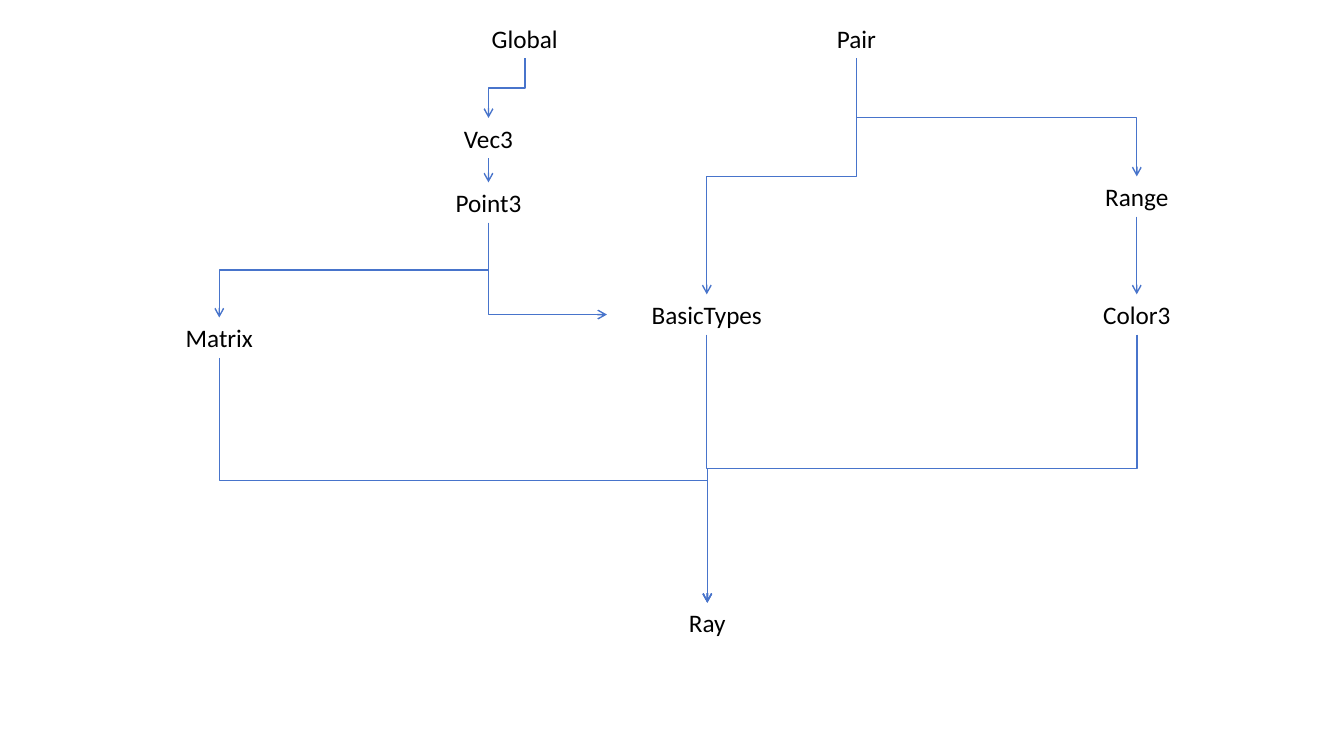
"""Build a dependency diagram of geometry classes linked by elbow arrows."""
from lxml import etree
from pptx import Presentation
from pptx import util as u
from pptx.dml.color import RGBColor
from pptx.enum import shapes, text
from pptx.oxml import ns

BLACK = RGBColor(0x00, 0x00, 0x00)
BLUE = RGBColor(0x48, 0x74, 0xCB)
TOP, LEFT, BOTTOM = 0, 1, 2

CLASSES = {
    "Global": (3.72, 0.18, 2.97),
    "Vec3": (3.36, 1.17, 2.97),
    "Point3": (3.36, 1.81, 2.97),
    "Ray": (5.53, 5.98, 2.97),
    "Color3": (9.79, 2.92, 2.97),
    "Pair": (7.01, 0.18, 2.97),
    "Range": (9.79, 1.75, 2.97),
    "BasicTypes": (6.02, 2.92, 1.98),
    "Matrix": (0.69, 3.15, 2.97),
}
DEPENDENCIES = [
    ("Global", "Vec3", TOP),
    ("Vec3", "Point3", TOP),
    ("Pair", "Range", TOP),
    ("Color3", "Ray", TOP),
    ("Range", "Color3", TOP),
    ("Pair", "BasicTypes", TOP),
    ("Point3", "BasicTypes", LEFT),
    ("BasicTypes", "Ray", TOP),
    ("Point3", "Matrix", TOP),
    ("Matrix", "Ray", TOP),
]


def write(frame, content, font="Calibri", size=18, color=BLACK,
          align=text.PP_ALIGN.CENTER):
    """Put formatted text into a text frame."""
    paragraph = frame.paragraphs[0]
    paragraph.alignment = align
    run = paragraph.add_run()
    run.text = content
    run.font.name = font
    run.font.size = u.Pt(size)
    run.font.color.rgb = color


class Diagram:
    """Hold the slide and the style of its labels and arrows."""

    def __init__(self, slide, line_color=BLUE, line_width=1, label_height=0.4):
        """Keep the slide and the shared style."""
        self.slide = slide
        self.line_color = line_color
        self.line_width = u.Pt(line_width)
        self.label_height = u.Inches(label_height)

    def label(self, name, left, top, width):
        """Add a centred class name."""
        shape = self.slide.shapes.add_textbox(
            u.Inches(left), u.Inches(top), u.Inches(width), self.label_height)
        frame = shape.text_frame
        frame.word_wrap = True
        frame.auto_size = text.MSO_AUTO_SIZE.SHAPE_TO_FIT_TEXT
        write(frame, name)
        return shape

    def arrow(self, source, target, side):
        """Add an elbow arrow that leaves downwards and enters the given side."""
        connector = self.slide.shapes.add_connector(
            shapes.MSO_CONNECTOR.ELBOW, 0, 0, 0, 0)
        connector.begin_connect(source, BOTTOM)
        connector.end_connect(target, side)
        self.turn_downwards(connector, side)
        connector.line.color.rgb = self.line_color
        connector.line.width = self.line_width
        properties = connector._element.spPr
        line = properties.find(ns.qn("a:ln"))
        etree.SubElement(line, ns.qn("a:tailEnd"), type="arrow")
        etree.SubElement(properties, ns.qn("a:effectLst"))

    def turn_downwards(self, connector, side):
        """Rotate an elbow by a quarter turn so its first leg is vertical."""
        across = connector.end_x - connector.begin_x
        down = connector.end_y - connector.begin_y
        center_x = (connector.begin_x + connector.end_x) // 2
        center_y = (connector.begin_y + connector.end_y) // 2
        properties = connector._element.spPr
        transform = properties.find(ns.qn("a:xfrm"))
        transform.attrib.clear()
        transform.set("rot", "5400000")
        if across >= 0:
            transform.set("flipV", "1")
        connector.width, connector.height = down, abs(across)
        connector.left = center_x - down // 2
        connector.top = center_y - abs(across) // 2
        if side == LEFT:
            properties.find(ns.qn("a:prstGeom")).set("prst", "bentConnector2")


def main():
    """Create the presentation and save it."""
    presentation = Presentation()
    presentation.slide_width = u.Inches(13.33)
    presentation.slide_height = u.Inches(7.5)
    slide = presentation.slides.add_slide(presentation.slide_layouts[6])
    diagram = Diagram(slide)
    labels = {name: diagram.label(name, *place) for name, place in CLASSES.items()}
    for source, target, side in DEPENDENCIES:
        diagram.arrow(labels[source], labels[target], side)
    presentation.save("out.pptx")


if __name__ == "__main__":
    main()
